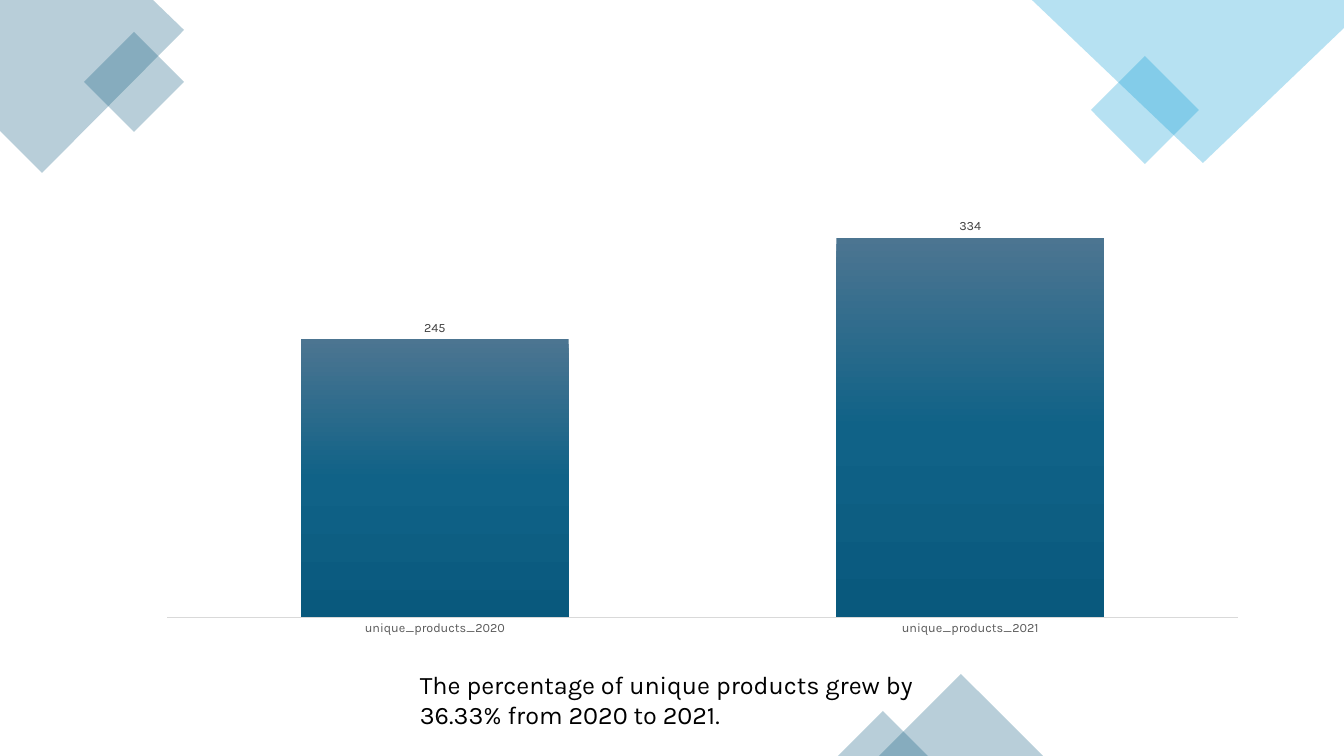
from copy import deepcopy
from typing import NamedTuple

from lxml import etree
from pptx import Presentation
from pptx.chart.data import CategoryChartData
from pptx.dml.color import RGBColor
from pptx.enum.chart import XL_CHART_TYPE, XL_LABEL_POSITION as LabelPos, XL_TICK_MARK as Tick
from pptx.enum.shapes import MSO_SHAPE as Shape
from pptx.enum.text import MSO_AUTO_SIZE
from pptx.oxml import parse_xml
from pptx.oxml.ns import nsdecls, qn
from pptx.util import Pt

PX = 914400 / 100.8
FONT = "Karla"
TEAL, SKY = "156082", "0F9ED5"
OPACITY = 30


class Preset(NamedTuple):
    kind: Shape
    x: int
    y: int
    w: int
    h: int
    color: str


class Polygon(NamedTuple):
    points: list[tuple[int, int]]
    color: str


DECORATIONS = [
    Polygon([(0, 0), (153, 0), (184, 30), (42, 173), (0, 131)], TEAL),
    Preset(Shape.DIAMOND, 84, 32, 100, 100, TEAL),
    Preset(Shape.DIAMOND, 1091, 56, 108, 108, SKY),
    Polygon([(1032, 0), (1344, 0), (1344, 28), (1203, 163)], SKY),
    Preset(Shape.ISOSCELES_TRIANGLE, 879, 674, 164, 82, TEAL),
    Preset(Shape.ISOSCELES_TRIANGLE, 838, 711, 90, 45, TEAL),
]
PRODUCTS = {"unique_products_2020": 245, "unique_products_2021": 334}
BAR_GRADIENT = [(0, "4C7591"), (0.5, "106287"), (1, "09597D")]
PLOT_LAYOUT = {"x": 0.08, "y": 0.15, "w": 0.89, "h": 0.74}


def px(n: int) -> int:
    return round(n * PX)


def rgb(color: str) -> RGBColor:
    return RGBColor.from_string(color)


def style_font(font, size: int, color: str) -> None:
    font.name, font.size = FONT, Pt(size)
    font.color.rgb = rgb(color)


def add_decoration(slide, item: Preset | Polygon) -> None:
    if isinstance(item, Preset):
        sp = slide.shapes.add_shape(item.kind, *map(px, item[1:5]))
    else:
        builder = slide.shapes.build_freeform(*item.points[0], scale=PX)
        builder.add_line_segments(item.points[1:], close=True)
        sp = builder.convert_to_shape()
    sp.shadow.inherit = False
    sp.line.fill.background()
    sp.fill.solid()
    sp.fill.fore_color.rgb = rgb(item.color)
    color = sp._element.spPr.find(".//" + qn("a:srgbClr"))
    etree.SubElement(color, qn("a:alpha"), val=str(OPACITY * 1000))


def fill_bars(series) -> None:
    fill = series.format.fill
    fill.gradient()
    fill.gradient_angle = 270
    stop_list = series._element.find(".//" + qn("a:gsLst"))
    stop_list.append(deepcopy(stop_list[0]))
    for stop, (position, color) in zip(fill.gradient_stops, BAR_GRADIENT):
        stop.position = position
        stop.color.rgb = rgb(color)


def set_plot_layout(chart) -> None:
    """Pin the inner plot area to fractions of the chart frame."""
    modes = "".join(f'<c:{a}Mode val="edge"/>' for a in "xy")
    sizes = "".join(f'<c:{k} val="{v}"/>' for k, v in PLOT_LAYOUT.items())
    layout = parse_xml(
        f'<c:layout {nsdecls("c")}><c:manualLayout><c:layoutTarget val="inner"/>'
        f"{modes}{sizes}</c:manualLayout></c:layout>"
    )
    chart._chartSpace.chart.plotArea.insert(0, layout)


def add_product_chart(slide) -> None:
    data = CategoryChartData()
    data.categories = PRODUCTS.keys()
    data.add_series("Series 1", PRODUCTS.values())
    frame = slide.shapes.add_chart(
        XL_CHART_TYPE.COLUMN_CLUSTERED, px(71), px(71), px(1203), px(614), data
    )
    chart = frame.chart
    chart.has_legend = chart.has_title = False
    style_font(chart.font, 10, "000000")
    set_plot_layout(chart)

    plot = chart.plots[0]
    plot.vary_by_categories = False
    plot.gap_width, plot.overlap = 100, -24
    fill_bars(plot.series[0])
    labels = plot.series[0].data_labels
    labels.show_value = True
    labels.position = LabelPos.OUTSIDE_END
    style_font(labels.font, 9, "404040")

    cat_axis, val_axis = chart.category_axis, chart.value_axis
    cat_axis.major_tick_mark = cat_axis.minor_tick_mark = Tick.NONE
    cat_axis.format.line.color.rgb = rgb("D9D9D9")
    cat_axis.format.line.width = Pt(1)
    style_font(cat_axis.tick_labels.font, 9, "595959")
    val_axis.minimum_scale, val_axis.maximum_scale = 0, 400
    val_axis.has_major_gridlines = val_axis.visible = False


def add_caption(slide, text: str) -> None:
    tf = slide.shapes.add_textbox(px(410), px(664), px(513), px(71)).text_frame
    tf.word_wrap = True
    tf.auto_size = MSO_AUTO_SIZE.SHAPE_TO_FIT_TEXT
    p = tf.paragraphs[0]
    p.text = text
    style_font(p.font, 18, "000000")


def main() -> None:
    prs = Presentation()
    prs.slide_width, prs.slide_height = px(1344), px(756)
    slide = prs.slides.add_slide(prs.slide_layouts[6])
    for item in DECORATIONS:
        add_decoration(slide, item)
    add_product_chart(slide)
    add_caption(slide, "The percentage of unique products grew by 36.33% from 2020 to 2021.")
    prs.save("out.pptx")


if __name__ == "__main__":
    main()
